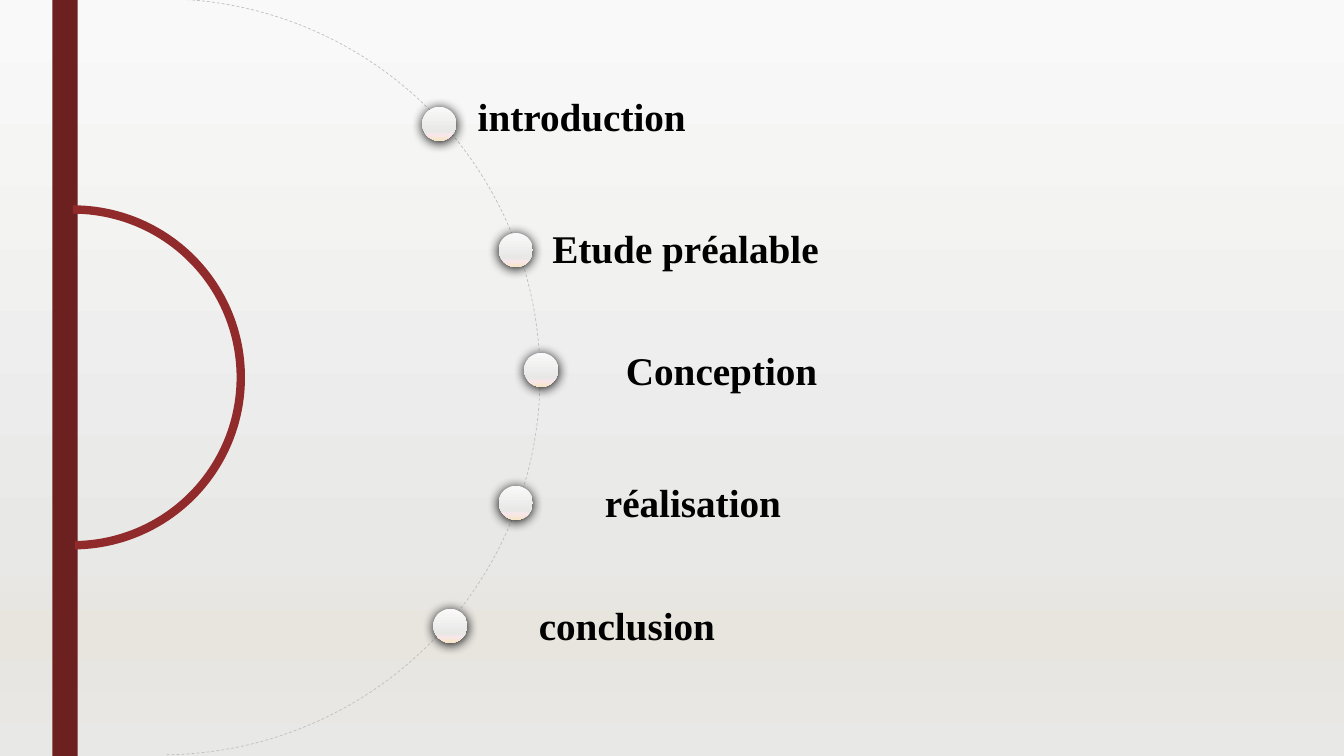
from lxml import etree
from pptx import Presentation
from pptx.dml.color import RGBColor
from pptx.enum import dml, shapes, text
from pptx.oxml import ns
from pptx.util import Cm, Pt

BLACK = RGBColor(0x00, 0x00, 0x00)
BAR_RED = RGBColor(0x6C, 0x20, 0x20)
ARC_RED = RGBColor(0x91, 0x2B, 0x2B)
GUIDE_GREY = RGBColor(0xBF, 0xBF, 0xBF)
PALE = RGBColor(0xF9, 0xF9, 0xF9)
SILVER = RGBColor(0xE8, 0xE8, 0xE7)
SAND = RGBColor(0xE8, 0xE5, 0xDF)
ROSE = RGBColor(0xF9, 0xE6, 0xEA)
CREAM = RGBColor(0xF5, 0xE6, 0xC3)

PAGE_STOPS = [(0, PALE), (74, SILVER), (83, SAND), (100, SILVER)]
DOT_STOPS = [(0, PALE), (74, SILVER), (83, ROSE), (100, CREAM)]

WIDTH, HEIGHT = 33.87, 19.05
DOT_SIZE = 0.86
LABEL_HEIGHT = 1.45
LEFT, CENTER = text.PP_ALIGN.LEFT, text.PP_ALIGN.CENTER

# Label, dot (left, top), label box (left, top, width), alignment; in cm
CHAPTERS = [
    ("introduction", (10.64, 2.69), (11.79, 2.21, 9.12), LEFT),
    ("Etude préalable", (12.57, 5.87), (13.67, 5.54, 10.49), LEFT),
    ("Conception", (13.21, 8.89), (14.4, 8.59, 7.57), CENTER),
    ("réalisation", (12.57, 12.24), (13.67, 11.94, 7.59), CENTER),
    ("conclusion", (10.92, 15.34), (11.99, 15.04, 7.62), CENTER),
]


def add_child(parent, tag, **attributes):
    return etree.SubElement(parent, ns.qn(tag), attributes)


def fill_gradient(fill, holder, stops):
    """Fill from top to bottom with the given (percent, colour) stops."""
    fill.gradient()
    gradient = holder.find(".//" + ns.qn("a:gradFill"))
    for child in list(gradient):
        gradient.remove(child)
    stop_list = add_child(gradient, "a:gsLst")
    for percent, colour in stops:
        stop = add_child(stop_list, "a:gs", pos=str(percent * 1000))
        add_child(stop, "a:srgbClr", val=str(colour))
    add_child(gradient, "a:lin", ang="5400000", scaled="0")


def add_plain_shape(page, kind, left, top, width, height):
    shape = page.shapes.add_shape(kind, Cm(left), Cm(top), Cm(width), Cm(height))
    shape.shadow.inherit = False
    return shape


def add_half_circle(page, left, top, size, end, colour, weight):
    arc = add_plain_shape(page, shapes.MSO_SHAPE.ARC, left, top, size, size)
    arc.adjustments[0] = 162
    arc.adjustments[1] = end
    arc.fill.background()
    arc.line.color.rgb = colour
    arc.line.width = Pt(weight)
    return arc


def add_frame(page, left, top, width, height):
    # Vertical bar along the left edge
    bar = add_plain_shape(page, shapes.MSO_SHAPE.RECTANGLE, left + 1.32, top, 0.64, height)
    bar.fill.solid()
    bar.fill.fore_color.rgb = BAR_RED
    bar.line.fill.background()

    # Dashed guide that carries the dots, and the thick inner arc
    guide = add_half_circle(page, left - 5.44, top - 0.03, height, 53.71, GUIDE_GREY, 0.5)
    guide.line.dash_style = dml.MSO_LINE.DASH
    add_half_circle(page, left - 2.39, top + 5.28, 8.46, 53.6, ARC_RED, 6)


def add_dot(page, left, top, size):
    dot = add_plain_shape(page, shapes.MSO_SHAPE.OVAL, left, top, size, size)
    fill_gradient(dot.fill, dot.element.spPr, DOT_STOPS)
    dot.line.fill.background()
    effects = dot.element.spPr.find(ns.qn("a:effectLst"))
    shadow = add_child(effects, "a:outerShdw", blurRad=str(Pt(8.5)), dist=str(Pt(1)),
                       dir="5400000", algn="ctr", rotWithShape="0")
    add_child(shadow, "a:srgbClr", val=str(BLACK))


def add_label(page, left, top, width, height, label, alignment):
    box = page.shapes.add_textbox(Cm(left), Cm(top), Cm(width), Cm(height))
    box.text_frame.word_wrap = True
    box.text_frame.text = label
    para = box.text_frame.paragraphs[0]
    para.alignment = alignment
    font = para.runs[0].font
    font.name = "Times New Roman"
    font.size = Pt(28)
    font.bold = True
    font.color.rgb = BLACK


def add_chapters(page, left, top):
    for label, (dot_x, dot_y), (label_x, label_y, label_width), alignment in CHAPTERS:
        add_dot(page, left + dot_x, top + dot_y, DOT_SIZE)
        add_label(page, left + label_x, top + label_y, label_width, LABEL_HEIGHT,
                  label, alignment)


def main():
    deck = Presentation()
    deck.slide_width, deck.slide_height = Cm(WIDTH), Cm(HEIGHT)
    page = deck.slides.add_slide(deck.slide_layouts[6])
    fill_gradient(page.background.fill, page.element, PAGE_STOPS)
    add_frame(page, 0, 0, WIDTH, HEIGHT)
    add_chapters(page, 0, 0)
    deck.save("out.pptx")


if __name__ == "__main__":
    main()
